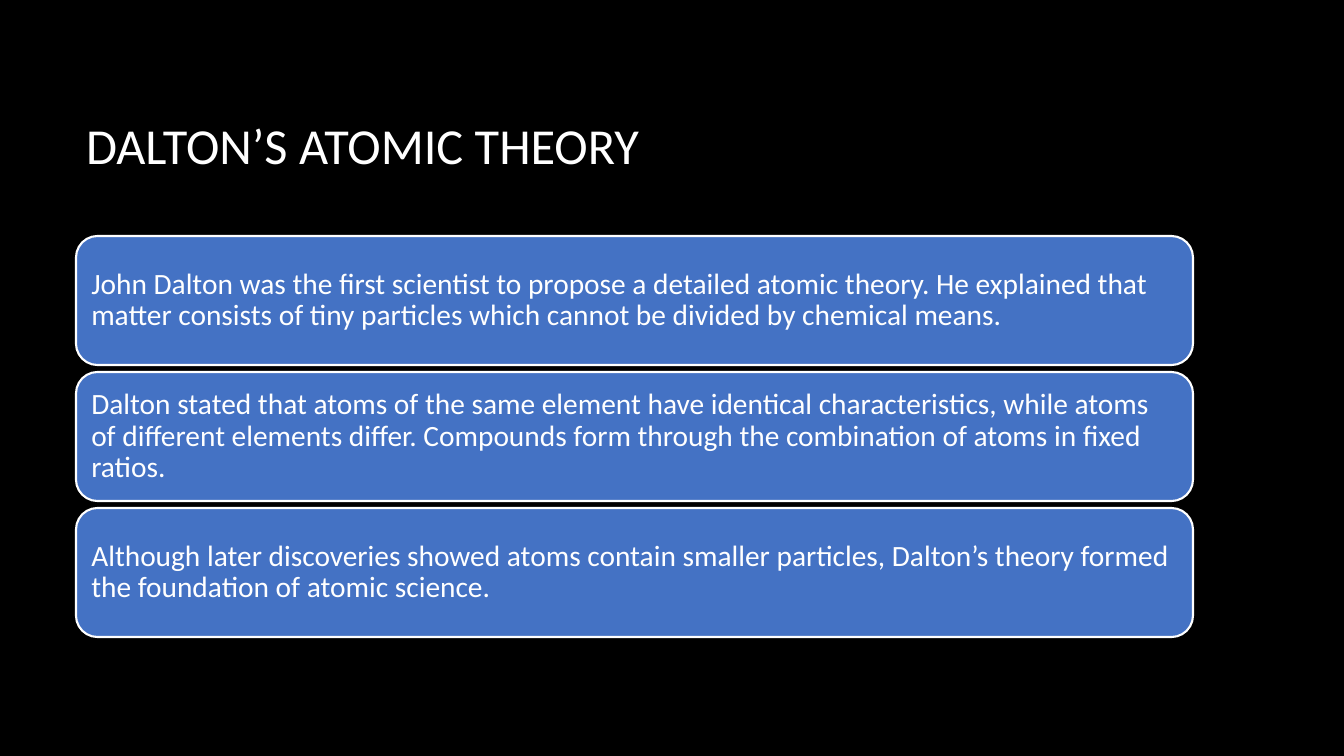
from dataclasses import dataclass

from pptx import Presentation
from pptx import util as u
from pptx.dml.color import RGBColor
from pptx.enum import shapes, text

PX = 12192000 / 1344
FONT = "Calibri"
COLORS = {"background": "000000", "card": "4472C4", "light": "FFFFFF"}

CARD_LEFT, CARD_TOP = 76, 236
CARD_WIDTH, CARD_HEIGHT, CARD_GAP = 1117, 129, 7
CARD_INSET = 9


@dataclass
class Card:
    statement: str
    top: int


STATEMENTS = [
    "John Dalton was the first scientist to propose a detailed atomic theory. "
    "He explained that matter consists of tiny particles which cannot be divided "
    "by chemical means.",
    "Dalton stated that atoms of the same element have identical characteristics, "
    "while atoms of different elements differ. Compounds form through the "
    "combination of atoms in fixed ratios.",
    "Although later discoveries showed atoms contain smaller particles, Dalton’s "
    "theory formed the foundation of atomic science.",
]
CARDS = [
    Card(statement, CARD_TOP + row * (CARD_HEIGHT + CARD_GAP))
    for row, statement in enumerate(STATEMENTS)
]


def px(length: int) -> u.Emu:
    return u.Emu(round(length * PX))


def color(name: str) -> RGBColor:
    return RGBColor.from_string(COLORS[name])


def write(frame, content: str, size: int) -> None:
    """Fill a text frame with one left-aligned, vertically centred paragraph."""
    frame.word_wrap = True
    frame.vertical_anchor = text.MSO_ANCHOR.MIDDLE
    paragraph = frame.paragraphs[0]
    paragraph.alignment = text.PP_ALIGN.LEFT
    paragraph.line_spacing = 0.9
    run = paragraph.add_run()
    run.text = content
    run.font.name = FONT
    run.font.size = u.Pt(size)
    run.font.color.rgb = color("light")


def draw_title(slide, content: str) -> None:
    title = slide.shapes.title
    title.left, title.top = px(CARD_LEFT), px(68)
    title.width, title.height = px(CARD_WIDTH), px(160)
    write(title.text_frame, content, 36)


def draw_card(slide, card: Card) -> None:
    box = slide.shapes.add_shape(
        shapes.MSO_SHAPE.ROUNDED_RECTANGLE,
        px(CARD_LEFT), px(card.top), px(CARD_WIDTH), px(CARD_HEIGHT),
    )
    box.shadow.inherit = False
    box.fill.solid()
    box.fill.fore_color.rgb = color("card")
    box.line.color.rgb = color("light")
    box.line.width = u.Pt(1.5)
    frame = box.text_frame
    frame.margin_left = frame.margin_right = px(CARD_INSET)
    frame.margin_top = frame.margin_bottom = px(CARD_INSET)
    write(frame, card.statement, 21)


def main() -> None:
    deck = Presentation()
    deck.slide_width, deck.slide_height = px(1344), px(756)
    slide = deck.slides.add_slide(deck.slide_layouts.get_by_name("Title Only"))
    slide.background.fill.solid()
    slide.background.fill.fore_color.rgb = color("background")
    draw_title(slide, "DALTON’S ATOMIC THEORY")
    for card in CARDS:
        draw_card(slide, card)
    deck.save("out.pptx")


if __name__ == "__main__":
    main()
